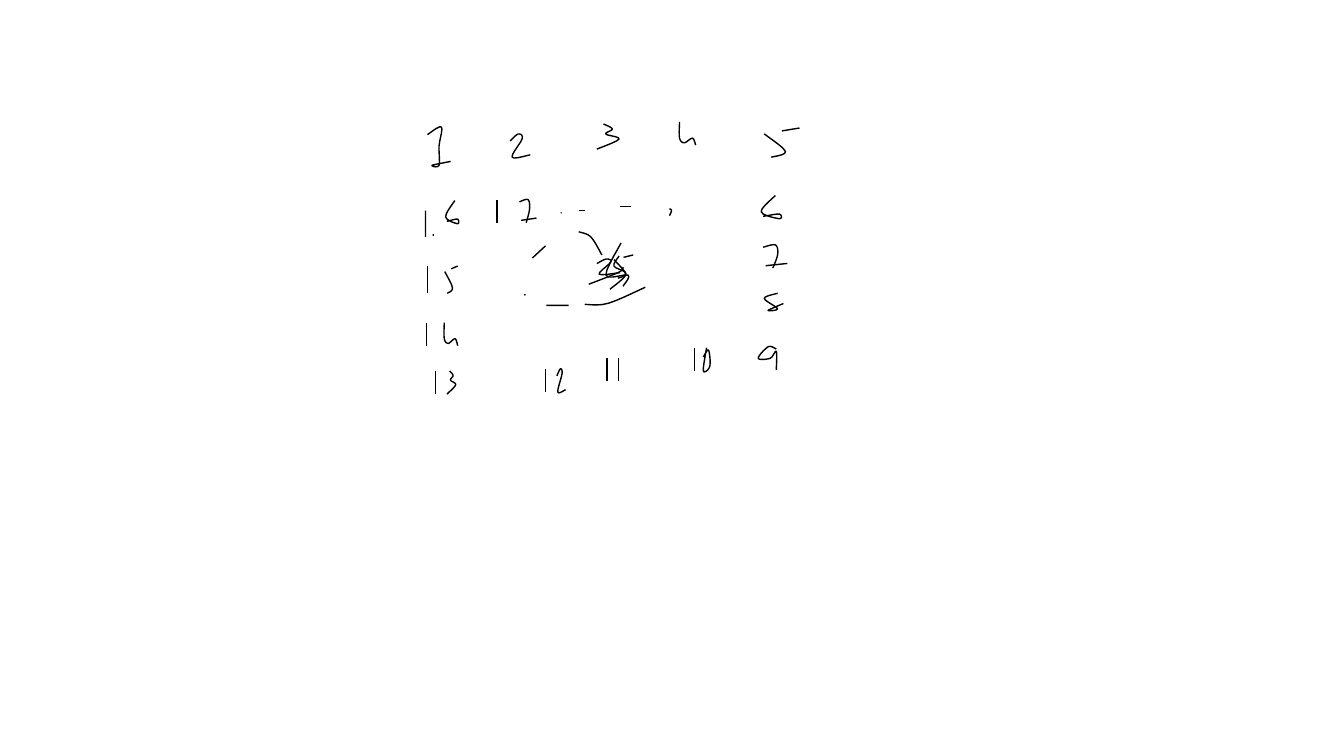
from pptx import Presentation
from pptx.dml.color import RGBColor
from pptx.util import Inches, Pt

INK = "000000"
CURVE_STEPS = 5
SECOND_DIGIT = 0.57  # where a second digit starts, as a share of the number's width

# Pen strokes of each digit on a grid of ten by ten; "I" is the 1 with serifs.
DIGITS = {
    "I": [[(0, 2), (6, 0), (5, 5), (5, 10), (2, 10), (10, 9)]],
    "0": [[(5, 0), (0, 10), (10, 8), (8, 1), (0, 4)]],
    "1": [[(0, 0), (0, 10)]],
    "2": [[(0, 3), (4, 0), (6, 2), (1, 10), (10, 9)]],
    "3": [[(3, 0), (7, 2), (4, 4), (10, 6), (0, 10)]],
    "4": [[(0, 0), (0, 7), (3, 9), (8, 7), (10, 10)]],
    "5": [[(0, 2), (6, 8), (2, 10)], [(5, 1), (10, 0)]],
    "6": [[(7, 0), (0, 7), (9, 10), (9, 8), (1, 9)]],
    "7": [[(0, 1), (5, 0), (6, 4), (4, 10)], [(1, 9), (10, 8)]],
    "8": [[(7, 0), (0, 3), (7, 9), (2, 10), (10, 6)]],
    "9": [[(9, 1), (5, 0), (0, 5), (6, 5), (9, 2), (9, 10)]],
}

# Number, left, top and, where it differs from the usual, width and height.
NUMBERS = [
    ("5", 3.58, 0.27, 0.35, 0.29), ("6", 3.55, 0.94), ("7", 3.57, 1.43, 0.24),
    ("8", 3.58, 1.91, 0.19, 0.17), ("9", 3.52, 2.44),
    ("I", 0.24, 0.26, 0.23, 0.38), ("2", 1.06, 0.33),
    ("10", 2.89, 2.45, 0.15), ("11", 2.02, 2.55), ("12", 1.41, 2.66),
    ("13", 0.32, 2.68), ("14", 0.23, 2.2, 0.31), ("15", 0.24, 1.64, 0.3, 0.27),
    ("1", 0.22, 1.09, 0, 0.26), ("6", 0.42, 0.99, 0.13), ("17", 0.93, 0.98, 0.39),
]
CENTRE_NUMBERS = [
    ("3", 1.92, 0.23, 0.22, 0.25), ("4", 2.74, 0.21, 0.16),
    ("2", 1.92, 1.57, 0.23, 0.15), ("5", 2.09, 1.53, 0.19),
]
CENTRE_STROKES = [
    [(2.4, 1.85), (2.03, 2.01), (1.8, 2.02)],
    [(1.64, 2.03), (1.42, 2.03)],
    [(1.28, 1.56), (1.41, 1.44)],
    [(1.74, 1.3), (1.86, 1.35), (1.97, 1.53)],
    [(1.84, 1.82), (2.14, 1.7), (2.18, 1.65)],
    [(2.16, 1.41), (2.01, 1.73), (2.23, 1.73), (2.18, 1.84)],
    [(2.14, 1.54), (2.09, 1.64), (2.21, 1.72), (2.05, 1.87)],
]
# Left, top and width of the dots and dashes.
DASHES = [(1.56, 1.11, 0.01), (1.74, 1.09, 0.06), (2.15, 1.05, 0.11)]
STRAY_DOTS = [[(0.29, 1.33), (0.3, 1.33)], [(1.2, 1.92), (1.21, 1.93)]]
COMMA = [(2.64, 1.07), (2.66, 1.09), (2.64, 1.14)]


def color(hex_code):
    return RGBColor.from_string(hex_code)


def number_strokes(number, left, top, width=0.2, height=0.23):
    """Fit one or two digits into the given box."""
    share = 1 - SECOND_DIGIT if len(number) > 1 else 1
    return [
        [(left + width * (place * SECOND_DIGIT + share * x / 10), top + height * y / 10)
         for x, y in stroke]
        for place, digit in enumerate(number)
        for stroke in DIGITS[digit]
    ]


def smooth(stroke):
    """Return points, as lengths, on a Catmull-Rom curve through the stroke."""
    padded = [stroke[0], *stroke, stroke[-1]]
    curve = [stroke[0]]
    for before, start, end, after in zip(padded, padded[1:], padded[2:], padded[3:]):
        for step in range(1, CURVE_STEPS + 1):
            t = step / CURVE_STEPS
            curve.append(tuple(
                (2 * b + (c - a) * t + (2 * a - 5 * b + 4 * c - d) * t ** 2
                 + (3 * b - a - 3 * c + d) * t ** 3) / 2
                for a, b, c, d in zip(before, start, end, after)
            ))
    return [(Inches(x), Inches(y)) for x, y in curve]


def draw_mark(slide, left, top, strokes):
    curves = [smooth(stroke) for stroke in strokes]
    pen = slide.shapes.build_freeform(*curves[0][0])
    for index, curve in enumerate(curves):
        if index:
            pen.move_to(*curve[0])
        pen.add_line_segments(curve[1:], close=False)
    mark = pen.convert_to_shape(left, top)
    mark.shadow.inherit = False
    mark.fill.background()
    mark.line.color.rgb = color(INK)
    mark.line.width = Pt(1)


def draw_number_spiral(slide, left, top):
    centre = CENTRE_STROKES + [
        stroke for number in CENTRE_NUMBERS for stroke in number_strokes(*number)
    ]
    marks = [number_strokes(*number) for number in NUMBERS]
    marks += [[[(x, y), (x + width, y)]] for x, y, width in DASHES]
    marks += [centre, STRAY_DOTS, [COMMA]]
    for strokes in marks:
        draw_mark(slide, left, top, strokes)


def main():
    deck = Presentation()
    deck.slide_width, deck.slide_height = Inches(13.33), Inches(7.5)
    slide = deck.slides.add_slide(deck.slide_layouts[6])
    draw_number_spiral(slide, Inches(4), Inches(1))
    deck.save("out.pptx")


if __name__ == "__main__":
    main()
